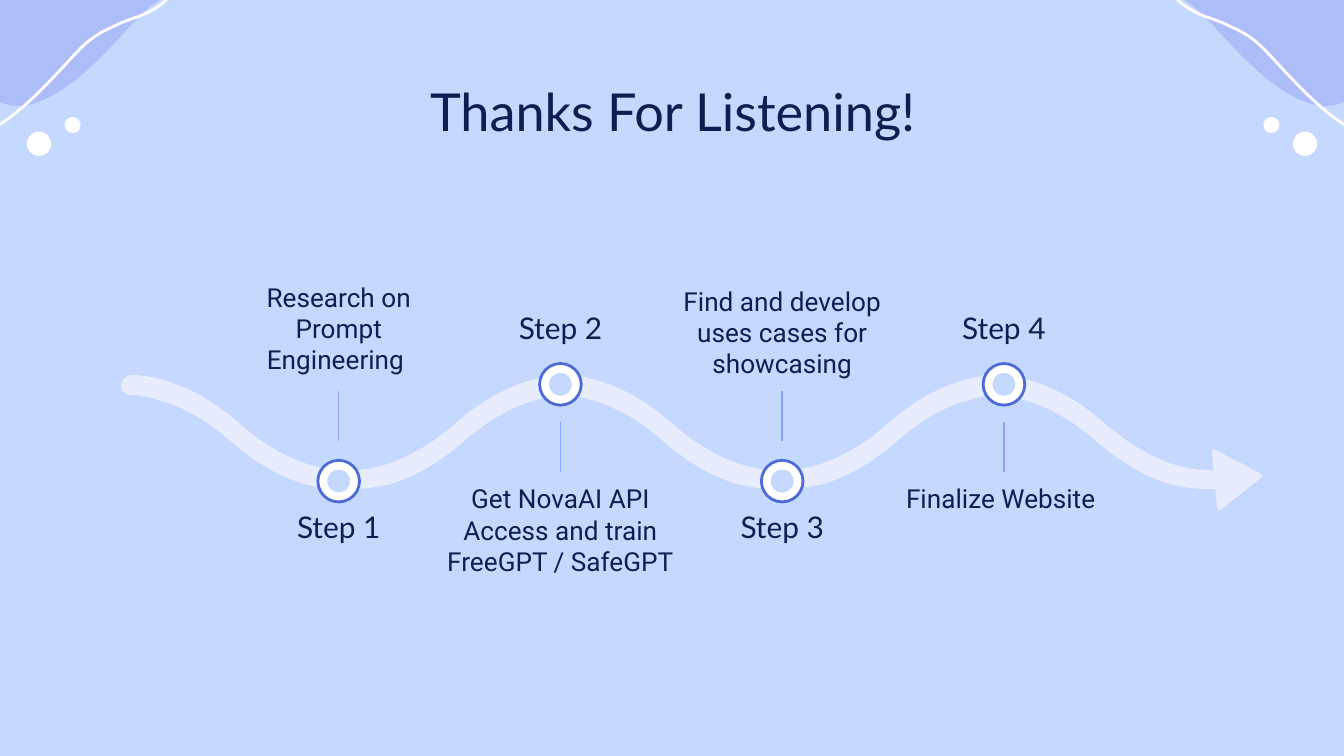
import lxml.etree
import pptx
import pptx.dml.color
import pptx.enum.shapes
import pptx.enum.text
import pptx.oxml.ns
import pptx.util

RGBColor = pptx.dml.color.RGBColor
Inches = pptx.util.Inches
Pt = pptx.util.Pt
qn = pptx.oxml.ns.qn
MSO_SHAPE = pptx.enum.shapes.MSO_SHAPE
MSO_ANCHOR = pptx.enum.text.MSO_ANCHOR

SKY = RGBColor(0xC5, 0xD9, 0xFF)
LAVENDER = RGBColor(0xAD, 0xBD, 0xF8)
WHITE = RGBColor(0xFF, 0xFF, 0xFF)
NAVY = RGBColor(0x0D, 0x1E, 0x51)
PALE = RGBColor(0xE8, 0xEC, 0xFF)
ROYAL = RGBColor(0x4D, 0x6B, 0xD6)
PERIWINKLE = RGBColor(0x8B, 0xA5, 0xFF)

SLIDE_WIDTH, SLIDE_HEIGHT = 10, 5.625
FIRST_COLUMN, COLUMN_GAP = 2.52, 1.65
LOW_ROW, HIGH_ROW = 3.58, 2.86
TEXT_WIDTH = 1.59
WAVE_LEFT, WAVE_PITCH, WAVE_WIDTH = 0.9, 1.61, 1.76

BLOB_POINTS = [
    (0.33, 0.74),
    (0.12, 0.84), (-0.1, 0.8), (-0.28, 0.46),
    (-0.7, -0.34), (-0.01, -1.05), (0.31, -1.23),
    (0.36, -1.26), (0.4, -1.28), (0.45, -1.3),
    (1.09, -1.58), (1.83, -1.31), (1.83, -0.69),
    (1.83, -0.32), (1.68, -0.21), (1.49, -0.13),
    (1.43, -0.11), (1.37, -0.09), (1.31, -0.06),
    (1.22, -0.02), (1.14, 0.02), (1.06, 0.1),
    (0.89, 0.27), (0.61, 0.62), (0.33, 0.74),
]
WAVE_POINTS = [
    (0.08, 2.79),
    (0.04, 2.79), (0, 2.83), (0, 2.87),
    (0, 2.91), (0.04, 2.94), (0.08, 2.94),
    (0.1, 2.94), (0.18, 2.94), (0.29, 2.98),
    (0.41, 3.01), (0.59, 3.09), (0.79, 3.26),
    (0.97, 3.42), (1.16, 3.54), (1.36, 3.6),
    (1.52, 3.64), (1.64, 3.64), (1.69, 3.64),
    (1.73, 3.64), (1.76, 3.61), (1.76, 3.57),
    (1.76, 3.53), (1.73, 3.5), (1.69, 3.5),
    (1.59, 3.5), (1.28, 3.5), (0.88, 3.15),
    (0.5, 2.81), (0.15, 2.79), (0.08, 2.79),
]
STEPS = [
    ("Research on Prompt Engineering ", 1.99, TEXT_WIDTH, 0.88),
    ("Get NovaAI API Access and train FreeGPT / SafeGPT", 3.49, 1.74, 0.88),
    ("Find and develop uses cases for showcasing", 2.02, TEXT_WIDTH, 0.39),
    ("Finalize Website ", 3.49, TEXT_WIDTH, 0.88),
]


def paint(shape, fill=None, line=None, line_width=1.5):
    shape.shadow.inherit = False
    if fill is None:
        shape.fill.background()
    else:
        shape.fill.solid()
        shape.fill.fore_color.rgb = fill
    if line is None:
        shape.line.fill.background()
    else:
        shape.line.color.rgb = line
        shape.line.width = Pt(line_width)


def add_curved_outline(shapes, points, fill=None, line=None):
    corners = [(Inches(x), Inches(y)) for x, y in points]
    builder = shapes.build_freeform(*corners[0])
    builder.add_line_segments(corners[1:], close=True)
    outline = builder.convert_to_shape()
    segments = list(outline.element.iter(qn("a:lnTo")))
    for index in range(0, len(segments), 3):
        curve = lxml.etree.Element(qn("a:cubicBezTo"))
        segments[index].addprevious(curve)
        for segment in segments[index:index + 3]:
            curve.append(segment[0])
            segment.getparent().remove(segment)
    paint(outline, fill, line)


def add_circle(shapes, x, y, diameter, fill, line=None):
    circle = shapes.add_shape(
        MSO_SHAPE.OVAL, Inches(x - diameter / 2), Inches(y - diameter / 2),
        Inches(diameter), Inches(diameter))
    paint(circle, fill, line)


def add_corner(shapes, mirrored):
    def place(x):
        return SLIDE_WIDTH - x if mirrored else x

    blob = [(place(x), y) for x, y in BLOB_POINTS]
    loop = [(place(x - 0.45), y + 0.25) for x, y in BLOB_POINTS]
    add_curved_outline(shapes, blob, fill=LAVENDER)
    add_circle(shapes, place(0.29), 1.07, 0.18, WHITE)
    add_circle(shapes, place(0.54), 0.93, 0.12, WHITE)
    add_curved_outline(shapes, loop, line=WHITE)


def add_wave(shapes):
    for index in reversed(range(5)):
        left = WAVE_LEFT + index * WAVE_PITCH
        points = [(left + (WAVE_WIDTH - x if index % 2 else x), y) for x, y in WAVE_POINTS]
        add_curved_outline(shapes, points, fill=PALE)


def add_arrowhead(shapes):
    arrowhead = shapes.add_shape(
        MSO_SHAPE.ISOSCELES_TRIANGLE, Inches(9), Inches(3.39), Inches(0.43), Inches(0.33))
    arrowhead.rotation = 84.6
    paint(arrowhead, PALE, PALE, 2)


def add_stem(shapes, x, top):
    stem = shapes.add_connector(
        pptx.enum.shapes.MSO_CONNECTOR.STRAIGHT,
        Inches(x), Inches(top), Inches(x), Inches(top + 0.37))
    stem.line.color.rgb = PERIWINKLE
    stem.line.width = Pt(0.75)
    properties = stem.element.find(qn("p:spPr"))
    lxml.etree.SubElement(properties, qn("a:effectLst"))


def write(text_frame, text, font_name, size, anchor=MSO_ANCHOR.TOP, inset=0.0):
    text_frame.text = text
    text_frame.word_wrap = True
    text_frame.auto_size = pptx.enum.text.MSO_AUTO_SIZE.NONE
    text_frame.vertical_anchor = anchor
    text_frame.margin_left = text_frame.margin_right = Inches(inset)
    text_frame.margin_top = text_frame.margin_bottom = Inches(0.1)
    paragraph = text_frame.paragraphs[0]
    paragraph.alignment = pptx.enum.text.PP_ALIGN.CENTER
    font = paragraph.runs[0].font
    font.name = font_name
    font.size = Pt(size)
    font.color.rgb = NAVY
    return paragraph


def add_centred_box(shapes, x, top, width, height):
    return shapes.add_textbox(
        Inches(x - width / 2), Inches(top), Inches(width), Inches(height)).text_frame


def add_step(shapes, index, description, top, width, height):
    x = FIRST_COLUMN + index * COLUMN_GAP
    low = index % 2 == 0
    row = LOW_ROW if low else HIGH_ROW
    write(add_centred_box(shapes, x, top, width, height), description, "Roboto", 14)
    label = add_centred_box(shapes, x, 3.67 if low else 2.19, TEXT_WIDTH, 0.55)
    paragraph = write(label, f"Step {index + 1}", "Lato", 16, MSO_ANCHOR.MIDDLE)
    paragraph.line_spacing = 0.8
    add_circle(shapes, x, row, 0.31, WHITE, ROYAL)
    add_circle(shapes, x, row, 0.17, SKY)
    add_stem(shapes, x, 2.91 if low else 3.14)


def set_title(title, text):
    title.left, title.top = Inches(0.79), Inches(0.49)
    title.width, title.height = Inches(8.43), Inches(0.63)
    write(title.text_frame, text, "Lato", 28, inset=0.1)


def main():
    presentation = pptx.Presentation()
    presentation.slide_width = Inches(SLIDE_WIDTH)
    presentation.slide_height = Inches(SLIDE_HEIGHT)
    slide = presentation.slides.add_slide(presentation.slide_layouts[5])
    slide.background.fill.solid()
    slide.background.fill.fore_color.rgb = SKY
    shapes = slide.shapes
    for mirrored in (True, False):
        add_corner(shapes, mirrored)
    set_title(shapes.title, "Thanks For Listening!")
    add_wave(shapes)
    add_arrowhead(shapes)
    for index, step in enumerate(STEPS):
        add_step(shapes, index, *step)
    presentation.save("out.pptx")


if __name__ == "__main__":
    main()
